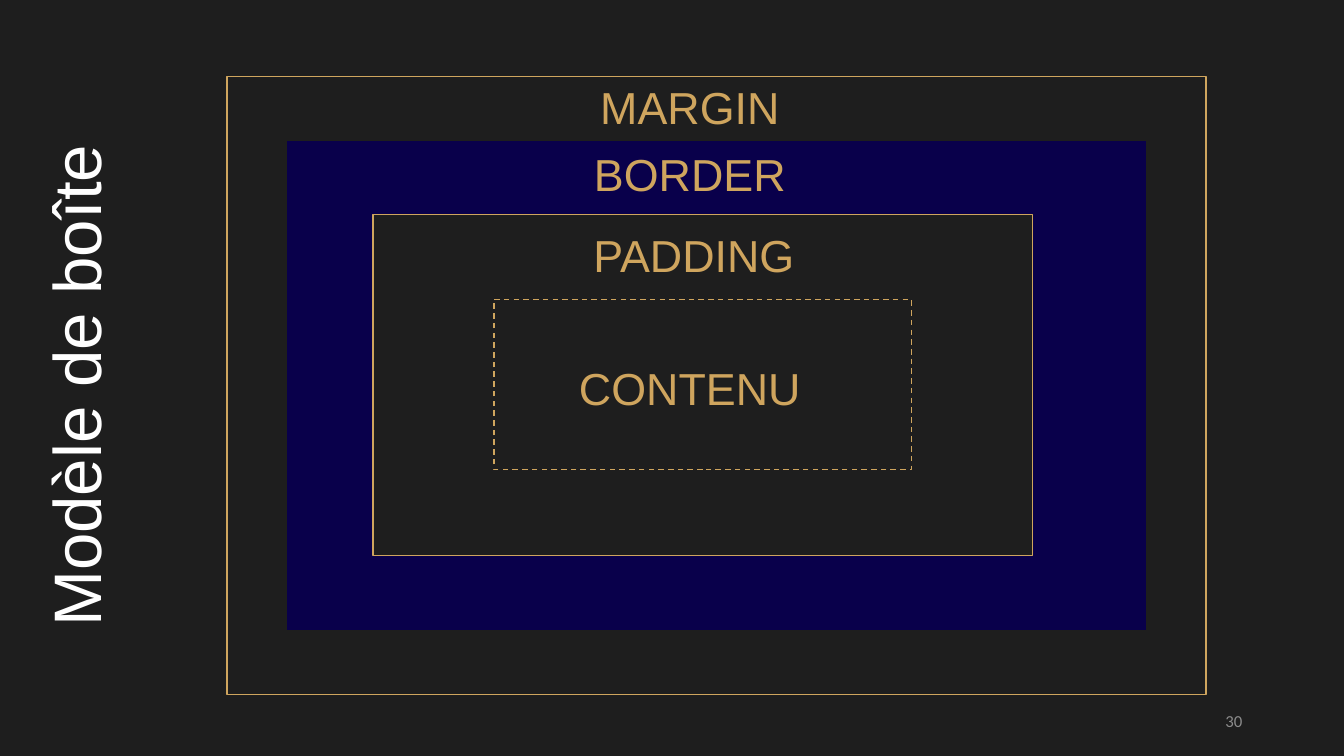
from pptx import Presentation
from pptx.dml.color import RGBColor
from pptx.enum.dml import MSO_LINE
from pptx.enum.shapes import MSO_SHAPE
from pptx.enum.text import MSO_ANCHOR, MSO_AUTO_SIZE, PP_ALIGN
from pptx.util import Inches, Pt

DARK, NAVY, GOLD, WHITE, GREY = "1E1E1E", "09004B", "CFA55E", "FFFFFF", "8C8C8C"

TITLE = "Modèle de boîte "
TITLE_COLUMN = (0.29, 0, 1.01, 7.47)
PAGE_NUMBER = "30"
# label, label position, box (left, top, width, height), fill, line, dash
LAYERS = [
    ("MARGIN", (5.19, 0.52), (2.25, 0.76, 9.71, 6.13), DARK, GOLD, None),
    ("BORDER", (5.19, 1.18), (2.84, 1.39, 8.53, 4.87), NAVY, DARK, None),
    ("PADDING", (5.23, 1.99), (3.7, 2.13, 6.54, 3.38), DARK, GOLD, None),
    ("CONTENU", (5.19, 3.31), (4.9, 2.97, 4.14, 1.69), DARK, GOLD, MSO_LINE.DASH),
]
LABEL_SIZE = (3.49, 0.82)
INSET = 0.05


def color(hex_string):
    return RGBColor.from_string(hex_string)


def style(run, size, hex_string, font="Arial"):
    run.font.size = Pt(size)
    run.font.name = font
    run.font.color.rgb = color(hex_string)


def set_insets(frame):
    frame.margin_left = frame.margin_right = Inches(INSET)
    frame.margin_top = frame.margin_bottom = Inches(INSET)


def add_layer_box(slide, bounds, fill, line, dash):
    box = slide.shapes.add_shape(MSO_SHAPE.RECTANGLE, *map(Inches, bounds))
    box.shadow.inherit = False
    box.fill.solid()
    box.fill.fore_color.rgb = color(fill)
    box.line.color.rgb = color(line)
    box.line.width = Pt(1)
    if dash:
        box.line.dash_style = dash


def add_label(slide, label, position):
    """Gold label; its closing white space sets the line height."""
    frame = slide.shapes.add_textbox(*map(Inches, position + LABEL_SIZE)).text_frame
    frame.word_wrap = True
    set_insets(frame)
    paragraph = frame.paragraphs[0]
    paragraph.text = label
    paragraph.alignment = PP_ALIGN.CENTER
    style(paragraph.runs[0], 32, GOLD)
    space = paragraph.add_run()
    space.text = " "
    style(space, 48, WHITE)


def set_upward_title(slide):
    """Turn the title a quarter left so that it fills the title column."""
    left, top, width, height = TITLE_COLUMN
    title = slide.shapes.title
    title.left = Inches(left + (width - height) / 2)
    title.top = Inches(top + (height - width) / 2)
    title.width, title.height = Inches(height), Inches(width)
    title.rotation = 270
    frame = title.text_frame
    frame.text = TITLE
    frame.word_wrap = True
    frame.auto_size = MSO_AUTO_SIZE.NONE
    frame.vertical_anchor = MSO_ANCHOR.TOP
    set_insets(frame)
    frame.paragraphs[0].alignment = PP_ALIGN.CENTER
    style(frame.paragraphs[0].runs[0], 48, WHITE)


def add_page_number(slide):
    frame = slide.shapes.add_textbox(*map(Inches, (9.42, 6.95, 3, 0.4))).text_frame
    frame.text = PAGE_NUMBER
    frame.word_wrap = True
    frame.vertical_anchor = MSO_ANCHOR.MIDDLE
    frame.paragraphs[0].alignment = PP_ALIGN.RIGHT
    style(frame.paragraphs[0].runs[0], 12, GREY, "Calibri")


def main():
    deck = Presentation()
    deck.slide_width, deck.slide_height = Inches(13.33), Inches(7.5)
    slide = deck.slides.add_slide(deck.slide_layouts[5])
    slide.background.fill.solid()
    slide.background.fill.fore_color.rgb = color(DARK)

    set_upward_title(slide)
    for label, position, bounds, fill, line, dash in LAYERS:
        add_layer_box(slide, bounds, fill, line, dash)
    for label, position, *_ in LAYERS:
        add_label(slide, label, position)
    add_page_number(slide)
    deck.save("out.pptx")


if __name__ == "__main__":
    main()
